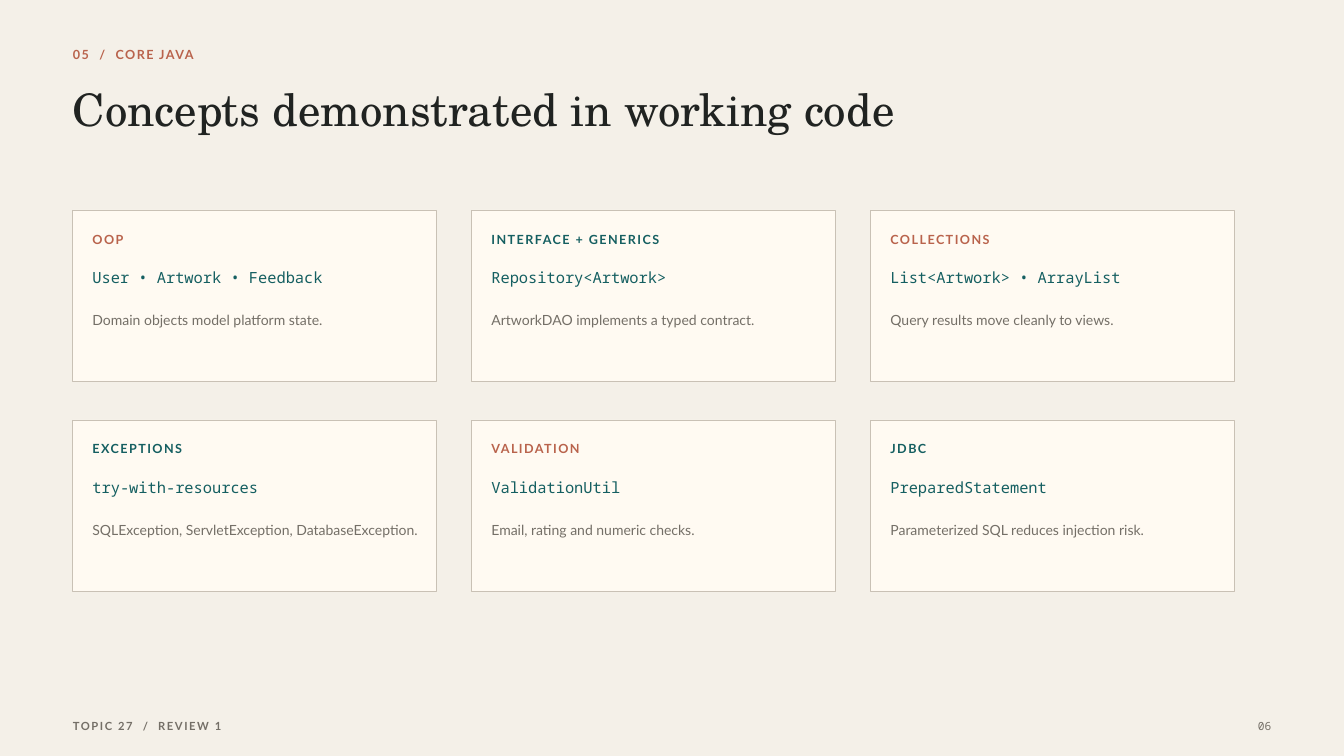
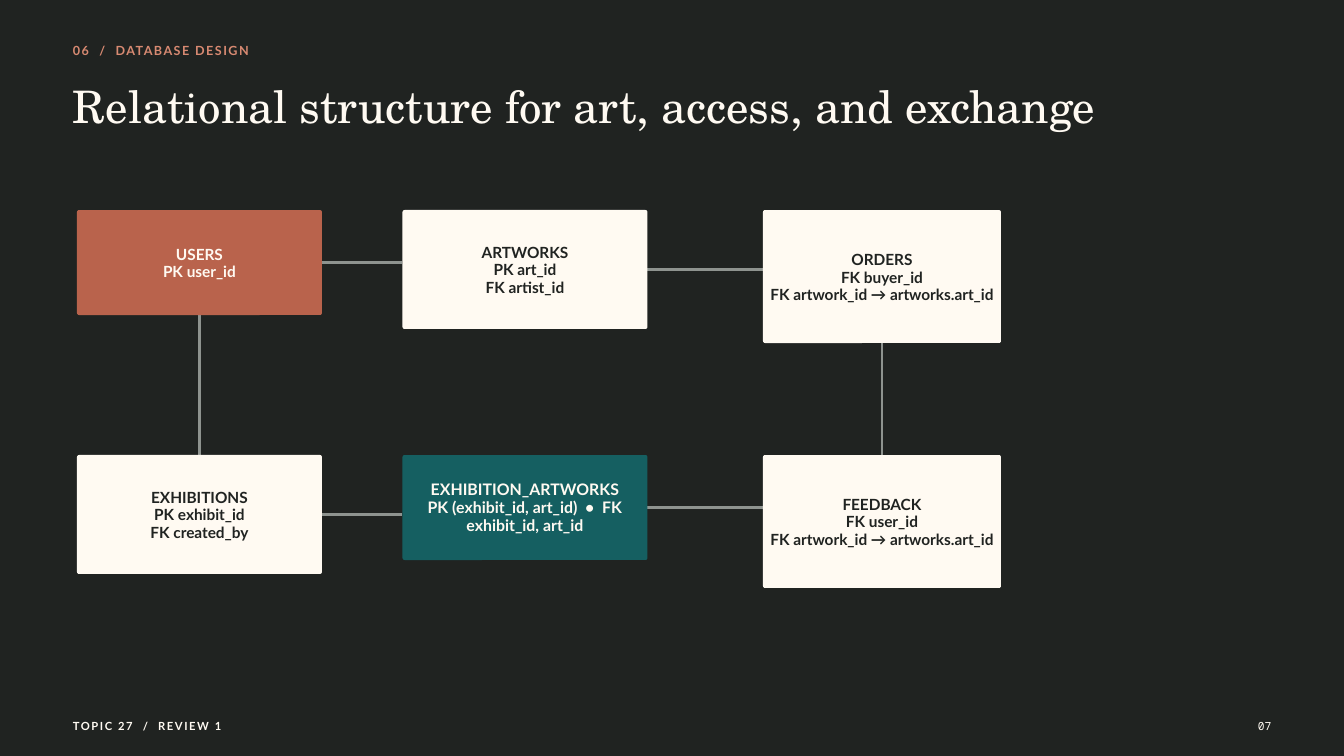
from lxml.etree import SubElement
from pptx import Presentation
from pptx.dml.color import RGBColor
from pptx.enum.shapes import MSO_CONNECTOR, MSO_SHAPE
from pptx.enum.text import MSO_ANCHOR, MSO_AUTO_SIZE, PP_ALIGN
from pptx.oxml.ns import qn
from pptx.util import Pt

# Content
FOOTER = "TOPIC 27  /  REVIEW 1"
CONCEPTS = {
    "eyebrow": "05  /  CORE JAVA",
    "title": "Concepts demonstrated in working code",
    "page": "06",
}
CARDS = [  # label, label colour, code, note
    ("OOP", "clay", "User • Artwork • Feedback", "Domain objects model platform state."),
    ("INTERFACE + GENERICS", "teal", "Repository<Artwork>", "ArtworkDAO implements a typed contract."),
    ("COLLECTIONS", "clay", "List<Artwork> • ArrayList", "Query results move cleanly to views."),
    ("EXCEPTIONS", "teal", "try-with-resources", "SQLException, ServletException, DatabaseException."),
    ("VALIDATION", "clay", "ValidationUtil", "Email, rating and numeric checks."),
    ("JDBC", "teal", "PreparedStatement", "Parameterized SQL reduces injection risk."),
]
DATABASE = {
    "eyebrow": "06  /  DATABASE DESIGN",
    "title": "Relational structure for art, access, and exchange",
    "page": "07",
}
TABLES = {  # name: (column, row, height, fill, text colour, keys)
    "USERS": (0, 0, 150, "clay", "cream", ["PK user_id"]),
    "ARTWORKS": (1, 0, 170, "cream", "ink", ["PK art_id", "FK artist_id"]),
    "EXHIBITIONS": (0, 1, 170, "cream", "ink", ["PK exhibit_id", "FK created_by"]),
    "EXHIBITION_ARTWORKS": (1, 1, 150, "teal", "cream",
                            ["PK (exhibit_id, art_id)  •  FK exhibit_id, art_id"]),
    "ORDERS": (2, 0, 190, "cream", "ink", ["FK buyer_id", "FK artwork_id → artworks.art_id"]),
    "FEEDBACK": (2, 1, 190, "cream", "ink", ["FK user_id", "FK artwork_id → artworks.art_id"]),
}
RELATIONS = [
    ("USERS", "ARTWORKS"), ("USERS", "EXHIBITIONS"),
    ("EXHIBITIONS", "EXHIBITION_ARTWORKS"), ("ARTWORKS", "ORDERS"),
    ("EXHIBITION_ARTWORKS", "FEEDBACK"), ("ORDERS", "FEEDBACK"),
]

# Shared look
COLORS = {
    "paper": "F4F0E8", "ink": "202321", "cream": "FFFAF2", "clay": "B9634C",
    "coral": "D88A72", "teal": "155F61", "gray": "746F67", "border": "C9C1B5",
    "link": "8E938F",
}
STYLES = {  # font, size, line spacing, bold, letter spacing in 1/100 pt
    "label": ("Lato", 13.5, 18.9, True, 160),
    "title": ("TeX Gyre Schola", 48, 50.4, False, 0),
    "code": ("Noto Sans Mono", 16.5, 22.3, False, 0),
    "note": ("Lato", 15, 19.5, False, 0),
    "footer": ("Lato", 12, 16.8, True, 170),
    "page": ("Noto Sans Mono", 12, 16.8, False, 0),
    "table": ("Lato", 16.5, 19, True, 0),
    "wide table": ("Lato", 17, 19.6, True, 0),
}
SCALE = 9525  # EMU in one px
LEFT = 104
ROW_TOP = 300


def px(n):
    return round(n * SCALE)


def rgb(name):
    return RGBColor.from_string(COLORS[name])


def write(tf, lines, style, color, align=PP_ALIGN.LEFT):
    font, size, spacing, bold, tracking = STYLES[style]
    tf.word_wrap = True
    tf.text = "\n".join(lines)
    for p in tf.paragraphs:
        p.alignment = align
        p.line_spacing = Pt(spacing)
        for r in p.runs:
            r.font.name, r.font.size, r.font.bold = font, Pt(size), bold
            r.font.color.rgb = rgb(color)
            if tracking:
                r._r.get_or_add_rPr().set("spc", str(tracking))


def set_margins(tf, side, top):
    tf.margin_left = tf.margin_right = tf.margin_bottom = px(side)
    tf.margin_top = px(top)


def add_text(s, box, text, style, color, align=PP_ALIGN.LEFT):
    tf = s.shapes.add_textbox(*map(px, box)).text_frame
    set_margins(tf, 0, 0)
    write(tf, [text], style, color, align)
    tf.auto_size = MSO_AUTO_SIZE.SHAPE_TO_FIT_TEXT


def add_box(s, kind, box, fill, line=None):
    sp = s.shapes.add_shape(kind, *map(px, box))
    sp.shadow.inherit = False
    sp.fill.solid()
    sp.fill.fore_color.rgb = rgb(fill)
    if line:
        sp.line.color.rgb = rgb(line)
        sp.line.width = Pt(0.75)
    else:
        sp.line.fill.background()
    return sp


def add_line(s, x1, y1, x2, y2):
    line = s.shapes.add_connector(MSO_CONNECTOR.STRAIGHT, *map(px, (x1, y1, x2, y2)))
    line.line.color.rgb = rgb("link")
    line.line.width = Pt(2.25)
    SubElement(line._element.spPr, qn("a:effectLst"))


def add_frame(prs, content, top, back, accent, title_color, footer_color):
    s = prs.slides.add_slide(prs.slide_layouts[6])
    s.background.fill.solid()
    s.background.fill.fore_color.rgb = rgb(back)
    add_text(s, (LEFT, top, 500, 23), content["eyebrow"], "label", accent)
    add_text(s, (LEFT, top + 64, 1650, 69), content["title"], "title", title_color)
    add_text(s, (LEFT, 1025, 420, 20), FOOTER, "footer", footer_color)
    add_text(s, (1740, 1025, 76, 20), content["page"], "page", footer_color, PP_ALIGN.RIGHT)
    return s


def build_concepts(prs):
    s = add_frame(prs, CONCEPTS, 63, "paper", "clay", "ink", "gray")
    for i, (label, color, code, note) in enumerate(CARDS):
        row, col = divmod(i, 3)
        x, y = LEFT + col * 570, ROW_TOP + row * 300
        add_box(s, MSO_SHAPE.RECTANGLE, (x, y, 520, 245), "cream", "border")
        add_text(s, (x + 28, y + 27, 470, 23), label, "label", color)
        add_text(s, (x + 28, y + 80, 470, 28), code, "code", "teal")
        add_text(s, (x + 28, y + 143, 470, 26), note, "note", "gray")


def table_box(name):
    col, row, height = TABLES[name][:3]
    x, width = [(110, 350), (575, 350), (1090, 340)][col]
    return x, ROW_TOP + row * 350, width, height


def build_database(prs):
    s = add_frame(prs, DATABASE, 58, "ink", "coral", "cream", "cream")

    # Relations leave the middle of the first table's side
    for start, end in RELATIONS:
        x, y, w, h = table_box(start)
        end_x, end_y = table_box(end)[:2]
        if end_y == y:
            add_line(s, x + w, y + h / 2, end_x, y + h / 2)
        else:
            add_line(s, x + w / 2, y + h, x + w / 2, end_y)

    # Tables
    for name, (_, _, height, fill, color, keys) in TABLES.items():
        sp = add_box(s, MSO_SHAPE.ROUNDED_RECTANGLE, table_box(name), fill)
        sp.adjustments[0] = 3 / height
        wide = name == "EXHIBITION_ARTWORKS"
        tf = sp.text_frame
        set_margins(tf, 6, 6 if wide else 8)
        tf.vertical_anchor = MSO_ANCHOR.MIDDLE
        write(tf, [name, *keys], "wide table" if wide else "table", color, PP_ALIGN.CENTER)


def main():
    prs = Presentation()
    prs.slide_width, prs.slide_height = px(1920), px(1080)
    build_concepts(prs)
    build_database(prs)
    prs.save("out.pptx")


if __name__ == "__main__":
    main()
